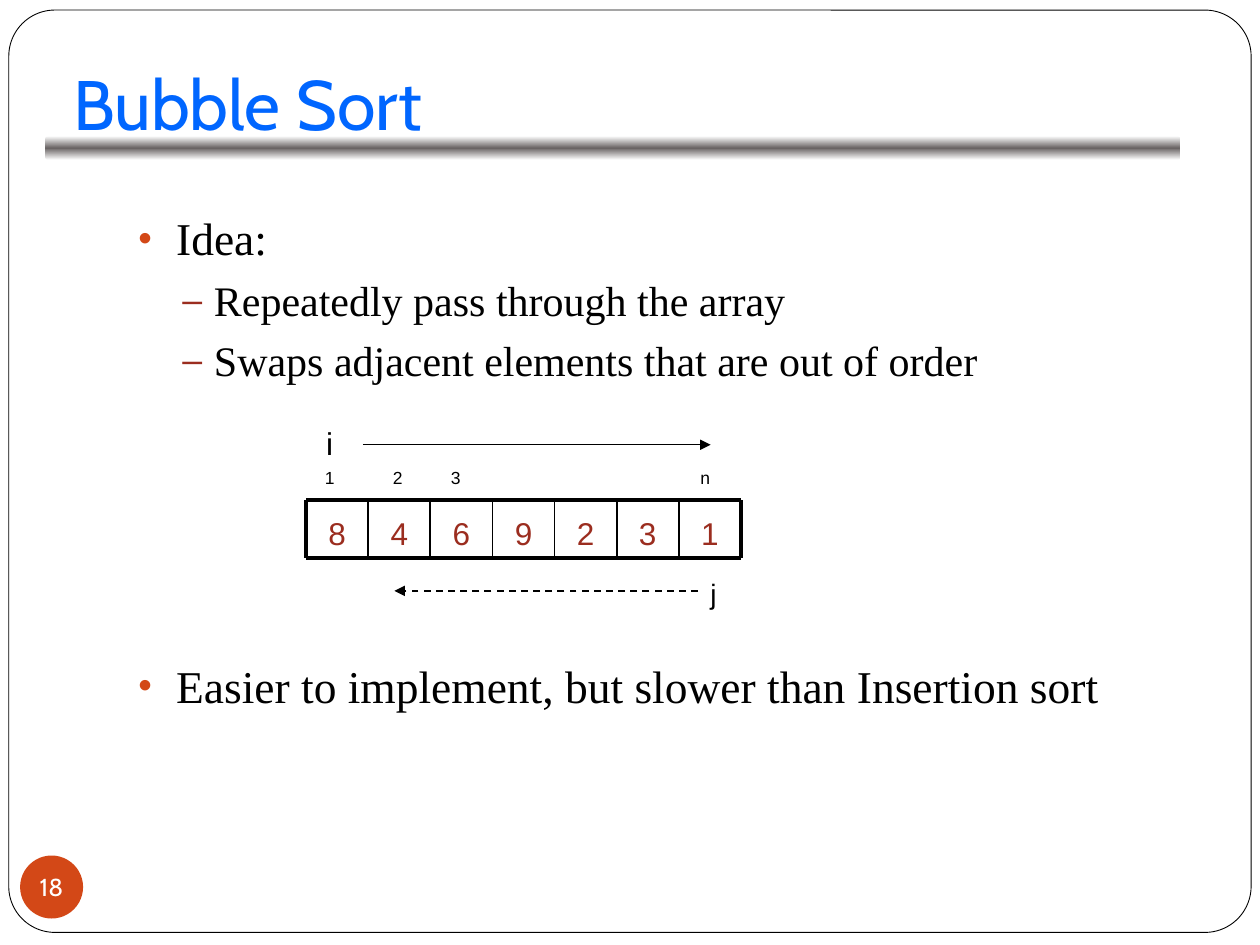
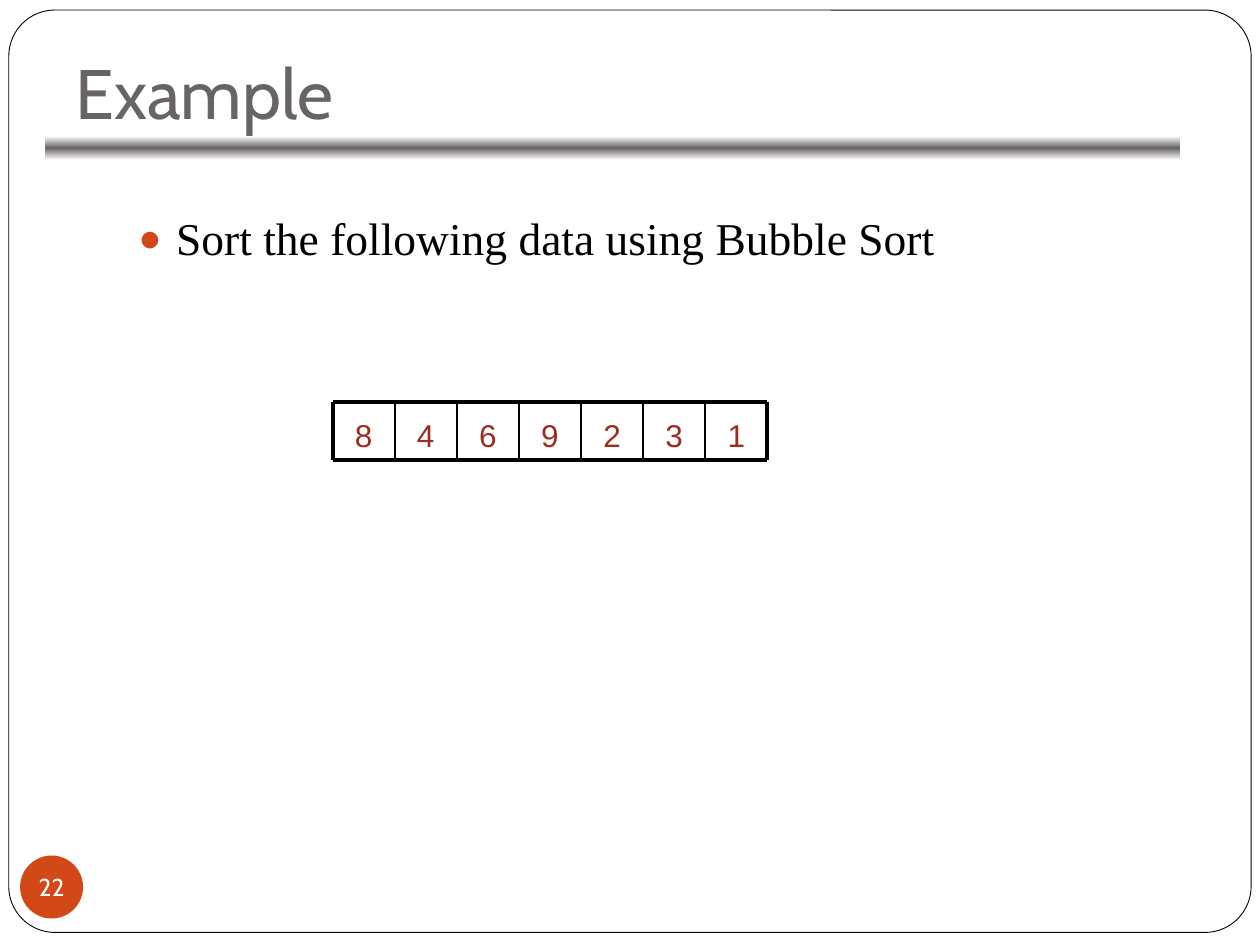
from copy import deepcopy
from pptx import Presentation
from pptx.dml.color import RGBColor
from pptx.enum.dml import MSO_LINE
from pptx.enum.shapes import MSO_CONNECTOR, MSO_SHAPE
from pptx.enum.text import MSO_ANCHOR, MSO_AUTO_SIZE, PP_ALIGN
from pptx.oxml.ns import qn
from pptx.util import Inches, Pt
from lxml.etree import SubElement

rgb = RGBColor.from_string
BLACK, WHITE, GREY = "000000", "FFFFFF", "696464"
ORANGE, RED, BLUE = "D34817", "9B2D1F", "0066FF"

ARRAY = [8, 4, 6, 9, 2, 3, 1]
ARRAY_WIDTH, ARRAY_HEIGHT = 3.45, 0.46
CELL = ARRAY_WIDTH / len(ARRAY)

FRAME = {"auto_size": MSO_AUTO_SIZE.NONE, "word_wrap": True}
TITLE_FRAME = FRAME | {"vertical_anchor": MSO_ANCHOR.BOTTOM, "margin_bottom": Inches(0.1)}
BADGE_FRAME = {"word_wrap": False, "vertical_anchor": MSO_ANCHOR.MIDDLE, "margin_left": 0,
               "margin_right": 0, "margin_top": 0, "margin_bottom": 0}
BODY_FRAME = FRAME | {"margin_top": Inches(0.09)}
CELL_FRAME = FRAME | {"vertical_anchor": MSO_ANCHOR.BOTTOM}

LEVELS = [
    {"size": 26, "left": 0.3, "hanging": 0.3, "bullet_color": ORANGE},
    {"size": 24, "left": 0.6, "hanging": 0.25, "bullet_color": RED},
]

SLIDES = [
    {"title": "Bubble Sort", "title_color": BLUE, "title_box": (0.48, 0, 9, 1.25),
     "number": "18", "array_at": (2.43, 3.97),
     "body": [(0, "•", 0, "Idea:"),
              (1, "–", 5.5, "Repeatedly pass through the array"),
              (1, "–", 5.5, "Swaps adjacent elements that are out of order"),
              (0, "•", 156, "Easier to implement, but slower than Insertion sort")],
     "labels": [("1", 2.48, 3.66, 0.27, 10), ("2", 3.02, 3.66, 0.27, 10),
                ("3", 3.48, 3.66, 0.27, 10), ("n", 5.46, 3.66, 0.27, 10),
                ("i", 2.49, 3.32, 0.4, 18), ("j", 5.54, 4.53, 0.37, 16)],
     "arrows": [((2.88, 3.53, 5.64, 3.53), 0.75, MSO_LINE.SOLID),
                ((5.54, 4.69, 3.13, 4.69), 1, MSO_LINE.DASH)]},
    {"title": "Example", "title_color": GREY, "title_box": (0.5, 0.3, 9, 0.86),
     "number": "22", "array_at": (2.64, 3.19),
     "body": [(0, "●", 0, "Sort the following data using Bubble Sort")],
     "labels": [], "arrows": []},
]


def write(shape, text, frame_format, font, size, color, align=PP_ALIGN.LEFT):
    frame = shape.text_frame
    frame.text = text
    for name, value in frame_format.items():
        setattr(frame, name, value)
    paragraph = frame.paragraphs[0]
    paragraph.alignment = align
    run_font = paragraph.runs[0].font
    for name, value in {"name": font, "size": Pt(size)}.items():
        setattr(run_font, name, value)
    run_font.color.rgb = rgb(color)


def draw_line(slide, ends, width, dash=MSO_LINE.SOLID):
    line = slide.shapes.add_connector(MSO_CONNECTOR.STRAIGHT, *map(Inches, ends))
    line.line.color.rgb = rgb(BLACK)
    line.line.width = Pt(width)
    line.line.dash_style = dash
    SubElement(line._element.spPr, qn("a:effectLst"))
    return line


deck = Presentation()
deck.slide_width, deck.slide_height = Inches(10), Inches(7.5)

for content in SLIDES:
    slide = deck.slides.add_slide(deck.slide_layouts[5])
    shapes = slide.shapes

    border = shapes.add_shape(MSO_SHAPE.ROUNDED_RECTANGLE, *map(Inches, (0.07, 0.08, 9.86, 7.32)))
    border.adjustments[0] = 0.05
    border.fill.solid()
    border.fill.fore_color.rgb = rgb(WHITE)
    border.line.color.rgb = rgb(BLACK)
    border.line.width = Pt(0.5)

    band = shapes.add_shape(MSO_SHAPE.ROUNDED_RECTANGLE, *map(Inches, (0.36, 1.08, 9.01, 0.19)))
    band.fill.gradient()
    band.fill.gradient_angle = 90
    first_stop = band._element.spPr.find(".//" + qn("a:gs"))
    first_stop.addnext(deepcopy(first_stop))
    for stop, position, color in zip(band.fill.gradient_stops, (0, 0.5, 1), (WHITE, GREY, WHITE)):
        stop.position = position
        stop.color.rgb = rgb(color)
    band.line.fill.background()

    title = shapes.title
    title.left, title.top, title.width, title.height = map(Inches, content["title_box"])
    write(title, content["title"], TITLE_FRAME, "Cabin", 40, content["title_color"])
    band._element.addnext(title._element)

    badge = shapes.add_shape(MSO_SHAPE.OVAL, *map(Inches, (0.16, 6.79, 0.5, 0.5)))
    badge.fill.solid()
    badge.fill.fore_color.rgb = rgb(ORANGE)
    badge.line.fill.background()
    write(badge, content["number"], BADGE_FRAME, "Cabin", 14, WHITE, PP_ALIGN.CENTER)

    for decoration in (border, band, badge):
        decoration.shadow.inherit = False

    body = shapes.add_textbox(*map(Inches, (1, 1.58, 8.5, 5))).text_frame
    for name, value in BODY_FRAME.items():
        setattr(body, name, value)
    for index, (depth, bullet, space, text) in enumerate(content["body"]):
        level = LEVELS[depth]
        point = body.add_paragraph() if index else body.paragraphs[0]
        point.level = depth
        point.space_before = Pt(space)
        properties = point._p.get_or_add_pPr()
        properties.set("marL", str(Inches(level["left"])))
        properties.set("indent", str(-Inches(level["hanging"])))
        bullet_color = SubElement(properties, qn("a:buClr"))
        SubElement(bullet_color, qn("a:srgbClr"), val=level["bullet_color"])
        SubElement(properties, qn("a:buSzPct"), val="85000")
        SubElement(properties, qn("a:buFont"), typeface="Arial")
        SubElement(properties, qn("a:buChar"), char=bullet)
        run = point.add_run()
        run.text = text
        for name, value in {"name": "Times New Roman", "size": Pt(level["size"])}.items():
            setattr(run.font, name, value)
        run.font.color.rgb = rgb(BLACK)

    for text, left, top, height, size in content["labels"]:
        label = shapes.add_textbox(*map(Inches, (left, top, 0.25, height)))
        write(label, text, FRAME, "Arial", size, BLACK)

    left, top = content["array_at"]
    right, bottom = left + ARRAY_WIDTH, top + ARRAY_HEIGHT
    for index, number in enumerate(ARRAY):
        cell = shapes.add_textbox(*map(Inches, (left + index * CELL, top, CELL, ARRAY_HEIGHT)))
        write(cell, str(number), CELL_FRAME, "Arial", 18, RED, PP_ALIGN.CENTER)
    for y in (top, bottom):
        draw_line(slide, (left, y, right, y), 2.25)
    for index in range(len(ARRAY) + 1):
        x = left + index * CELL
        draw_line(slide, (x, top, x, bottom), 2.25 if index in (0, len(ARRAY)) else 1)

    for ends, width, dash in content["arrows"]:
        arrow = draw_line(slide, ends, width, dash)
        SubElement(arrow.line._get_or_add_ln(), qn("a:tailEnd"), type="triangle")

deck.save("out.pptx")
